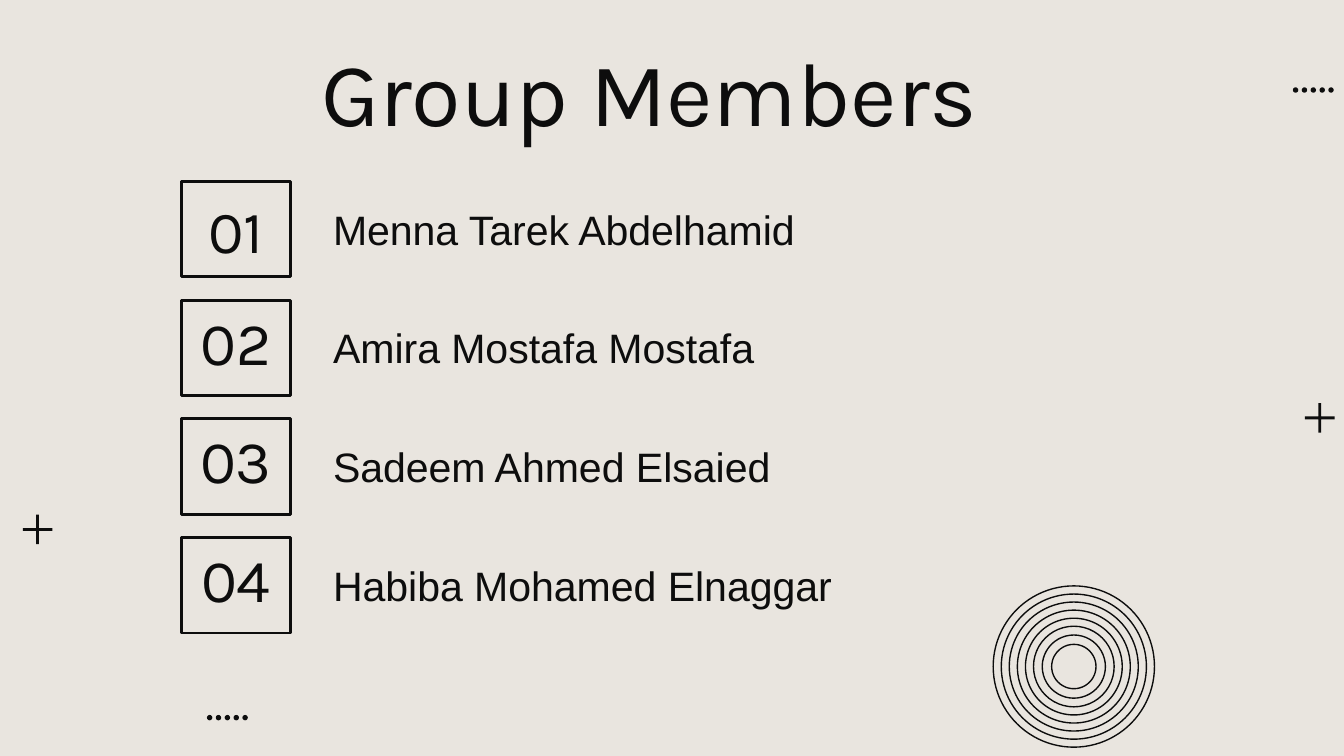
from pptx import Presentation
from pptx.dml.color import RGBColor
from pptx.enum.shapes import MSO_SHAPE as Shape
from pptx.enum.text import MSO_ANCHOR as Anchor, MSO_AUTO_SIZE as AutoSize, PP_ALIGN as Align
from pptx.util import Inches, Pt

INK = RGBColor(0x0D, 0x0D, 0x0D)
PAPER = RGBColor(0xE9, 0xE5, 0xDF)

MEMBERS = (
    "Menna Tarek Abdelhamid",
    "Amira Mostafa Mostafa",
    "Sadeem Ahmed Elsaied",
    "Habiba Mohamed Elnaggar",
)
FIRST_ROW, LAST_ROW = 1.35, 4.0
ROW_PITCH = (LAST_ROW - FIRST_ROW) / (len(MEMBERS) - 1)
NUMBER_COLUMN, NAME_COLUMN = 1.35, 2.38
RING_DIAMETERS = (1.2, 1.08, 0.96, 0.84, 0.72, 0.6, 0.47, 0.33)


def write(frame, text, size, font_name, align=Align.LEFT):
    """Put one formatted line of text into a frame."""
    frame.text = text
    paragraph = frame.paragraphs[0]
    paragraph.alignment = align
    font = paragraph.runs[0].font
    font.size, font.name = Pt(size), font_name
    font.color.rgb = INK
    return paragraph


def set_margins(frame):
    """Give a frame the same margin on all sides."""
    frame.margin_left = frame.margin_right = Inches(0.1)
    frame.margin_top = frame.margin_bottom = Inches(0.1)


def add_solid(shapes, kind, left, top, size):
    """Add a filled square-proportioned mark without an outline."""
    mark = shapes.add_shape(kind, Inches(left), Inches(top), Inches(size), Inches(size))
    mark.shadow.inherit = False
    mark.fill.solid()
    mark.fill.fore_color.rgb = INK
    mark.line.fill.background()
    return mark


def add_outline(shapes, kind, left, top, width, height, weight):
    """Add an unfilled shape with an ink outline."""
    outline = shapes.add_shape(kind, Inches(left), Inches(top), Inches(width), Inches(height))
    outline.shadow.inherit = False
    outline.fill.background()
    outline.line.color.rgb = INK
    outline.line.width = Pt(weight)
    return outline


def add_plus(slide, left, top):
    """Add a thin plus sign."""
    plus = add_solid(slide.shapes, Shape.MATH_PLUS, left, top, 0.3)
    plus.adjustments[0] = 0.069


def add_dots(slide, left, top):
    """Add a grouped row of five dots."""
    dots = slide.shapes.add_group_shape()
    for column in range(5):
        add_solid(dots.shapes, Shape.OVAL, left + column * 0.066, top, 0.04)


def add_rings(slide, center_x, center_y):
    """Add a group of concentric rings."""
    rings = slide.shapes.add_group_shape()
    for size in RING_DIAMETERS:
        add_outline(rings.shapes, Shape.OVAL, center_x - size / 2,
                    center_y - size / 2, size, size, 0.75)


def add_title(slide, text):
    """Place and format the title placeholder."""
    title = slide.shapes.title
    title.left, title.top = Inches(2.29), Inches(0.17)
    title.width, title.height = Inches(5.41), Inches(1.05)
    frame = title.text_frame
    set_margins(frame)
    frame.auto_size = AutoSize.NONE
    frame.vertical_anchor = Anchor.TOP
    write(frame, text, 48.4, "Karla")


def add_member(slide, row, name):
    """Add one numbered box with the member's name beside it."""
    top = FIRST_ROW + row * ROW_PITCH
    number = add_outline(slide.shapes, Shape.RECTANGLE, NUMBER_COLUMN, top, 0.81, 0.71, 1.5)
    set_margins(number.text_frame)
    number.text_frame.vertical_anchor = Anchor.MIDDLE
    first = row == 0
    line = write(number.text_frame, f"{row + 1:02}", 32 if first else 32.4, "Karla", Align.CENTER)
    line.line_spacing = 1.0 if first else 0.8

    label = slide.shapes.add_textbox(Inches(NAME_COLUMN), Inches(top + 0.12),
                                     Inches(5.07), Inches(0.47))
    label.text_frame.word_wrap = True
    label.text_frame.auto_size = AutoSize.SHAPE_TO_FIT_TEXT
    write(label.text_frame, name, 22, "Arial")


def main():
    """Build the group members slide."""
    deck = Presentation()
    deck.slide_width, deck.slide_height = Inches(10), Inches(10 * 9 / 16)
    slide = deck.slides.add_slide(deck.slide_layouts[5])
    slide.background.fill.solid()
    slide.background.fill.fore_color.rgb = PAPER

    add_plus(slide, 0.13, 3.79)
    add_dots(slide, 9.62, 0.65)
    add_dots(slide, 1.54, 5.32)
    add_title(slide, "Group Members")
    add_rings(slide, 7.99, 4.96)
    add_plus(slide, 9.67, 2.96)
    for row, name in enumerate(MEMBERS):
        add_member(slide, row, name)
    deck.save("out.pptx")


if __name__ == "__main__":
    main()
